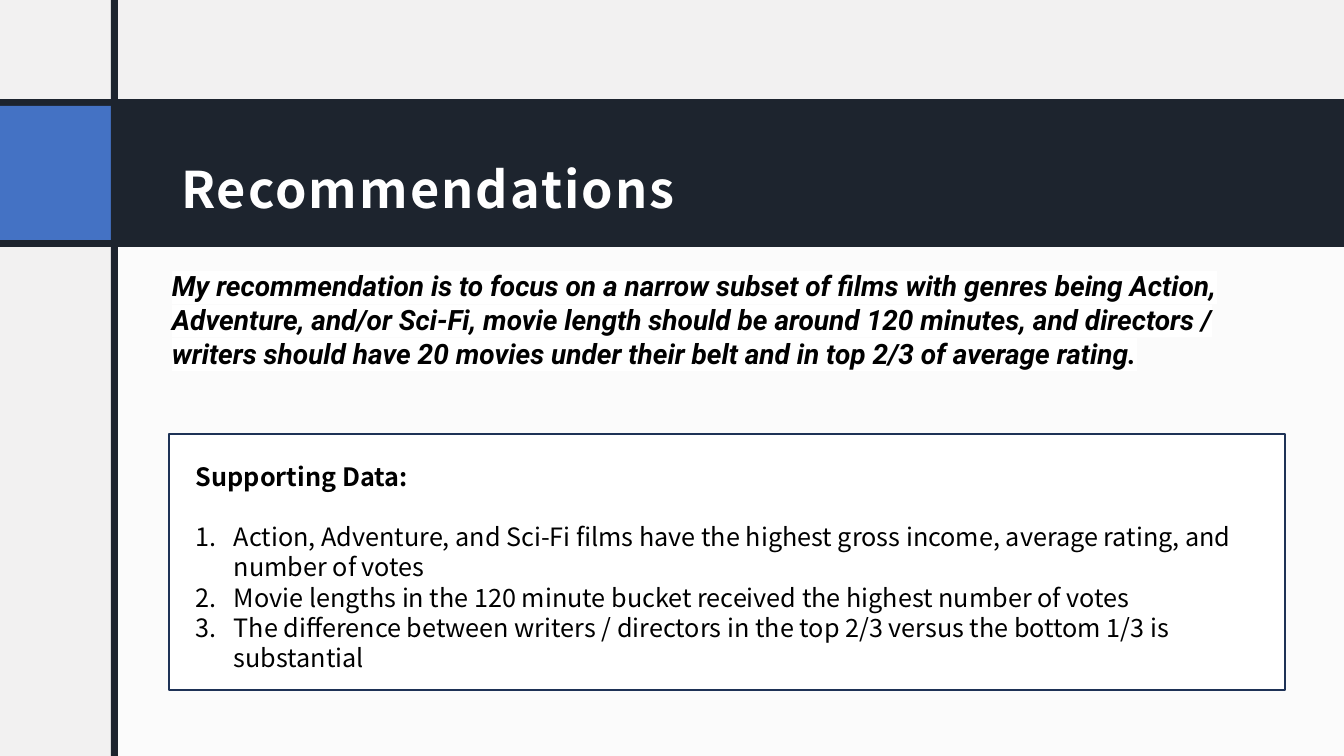
from dataclasses import dataclass

from lxml import etree
from pptx import Presentation
from pptx.dml.color import RGBColor
from pptx.enum.shapes import MSO_SHAPE
from pptx.enum.text import MSO_ANCHOR, PP_ALIGN
from pptx.oxml.ns import qn
from pptx.util import Pt

RECT = MSO_SHAPE.RECTANGLE
MIDDLE = MSO_ANCHOR.MIDDLE
LEFT = PP_ALIGN.LEFT
WIDE, HIGH = 1344, 756
SCALE = 12192000 / WIDE


@dataclass(frozen=True)
class Theme:
    back: str = "F2F1F1"
    white: str = "FFFFFF"
    dark: str = "1D242E"
    blue: str = "4472C4"
    edge: str = "1E3256"
    ink: str = "000000"
    sans: str = "Noto Sans CJK JP"
    lead: str = "Roboto"
    head_size: int = 36
    lead_size: int = 20
    data_size: int = 18
    data_line: float = 21.6


THEME = Theme()
ADVICE = (
    "My recommendation is to focus on a narrow subset of films with genres "
    "being Action, Adventure, and/or Sci-Fi, movie length should be around "
    "120 minutes, and directors / writers should have 20 movies under their "
    "belt and in top 2/3 of average rating."
)
POINTS = (
    "Action, Adventure, and Sci-Fi films have the highest gross income, "
    "average rating, and number of votes",
    "Movie lengths in the 120 minute bucket received the highest number of votes",
    "The difference between writers / directors in the top 2/3 versus the "
    "bottom 1/3 is substantial",
)


def px(count):
    return round(count * SCALE)


def rgb(code):
    return RGBColor.from_string(code)


def style(font, name, size, color, bold=False, italic=False):
    font.name, font.size = name, Pt(size)
    font.bold, font.italic = bold, italic
    font.color.rgb = rgb(color)


def block(slide, box, fill, edge=None, alpha=None):
    shape = slide.shapes.add_shape(RECT, *map(px, box))
    shape.shadow.inherit = False
    shape.fill.solid()
    shape.fill.fore_color.rgb = rgb(fill)
    if alpha:
        tint = shape.fill._xPr.find(qn("a:solidFill"))[0]
        etree.SubElement(tint, qn("a:alpha"), val=str(alpha * 1000))
    if edge:
        shape.line.color.rgb = rgb(edge)
        shape.line.width = Pt(1)
    else:
        shape.line.fill.background()


def text_box(slide, box):
    frame = slide.shapes.add_textbox(*map(px, box)).text_frame
    frame.word_wrap = True
    return frame


def banner(slide, box):
    """Dark title band with a blue tab at its left and a full-height rule."""
    left, top, width, height = box
    rule, tab = 7, 111
    block(slide, box, THEME.dark)
    block(slide, (left, top + rule, tab, height - 2 * rule), THEME.blue)
    block(slide, (left + tab, 0, rule, HIGH), THEME.dark)

    title = slide.shapes.title
    title.left, title.top = px(left + 169), px(top + 16)
    title.width, title.height = px(1104), px(114)
    frame = title.text_frame
    frame.word_wrap = True
    frame.vertical_anchor = MIDDLE
    frame.margin_left = frame.margin_top = frame.margin_right = px(12)
    frame.margin_bottom = px(10)
    para = frame.paragraphs[0]
    para.alignment = LEFT
    para.line_spacing = 1.5
    run = para.add_run()
    run.text = "Recommendations"
    style(para.font, THEME.sans, THEME.head_size, THEME.white, bold=True)
    run.font._element.set("spc", "150")
    # Keep the title above the band
    tree = slide.shapes._spTree
    tree.append(title._element)


def advice(slide, box):
    para = text_box(slide, box).paragraphs[0]
    run = para.add_run()
    run.text = ADVICE
    style(para.font, THEME.lead, THEME.lead_size, THEME.ink, True, True)
    mark = etree.SubElement(run.font._element, qn("a:highlight"))
    etree.SubElement(mark, qn("a:srgbClr"), val=THEME.white)


def support(slide, box):
    """Outlined panel with a heading and a numbered list."""
    left, top, width, height = box
    block(slide, box, THEME.white, THEME.edge)
    frame = text_box(slide, (left + 17, top + 22, width - 36, height - 32))
    for rank, words in enumerate(("Supporting Data:", *POINTS)):
        para = frame.paragraphs[0] if rank == 0 else frame.add_paragraph()
        para.text = words
        para.line_spacing = Pt(THEME.data_line)
        if rank == 0:
            para.space_after = Pt(THEME.data_line)
        else:
            props = para._p.get_or_add_pPr()
            props.set("marL", str(px(38)))
            props.set("indent", str(px(-38)))
            etree.SubElement(props, qn("a:buAutoNum"), type="arabicPeriod")
        style(para.font, THEME.sans, THEME.data_size, THEME.ink, rank == 0)


def main():
    deck = Presentation()
    deck.slide_width, deck.slide_height = px(WIDE), px(HIGH)
    slide = deck.slides.add_slide(deck.slide_layouts[5])
    slide.background.fill.solid()
    slide.background.fill.fore_color.rgb = rgb(THEME.back)
    block(slide, (115, 235, WIDE - 115, HIGH - 235), THEME.white, alpha=75)
    banner(slide, (0, 99, WIDE, 148))
    advice(slide, (162, 264, 1142, 146))
    support(slide, (169, 434, 1116, 256))
    deck.save("out.pptx")


if __name__ == "__main__":
    main()
